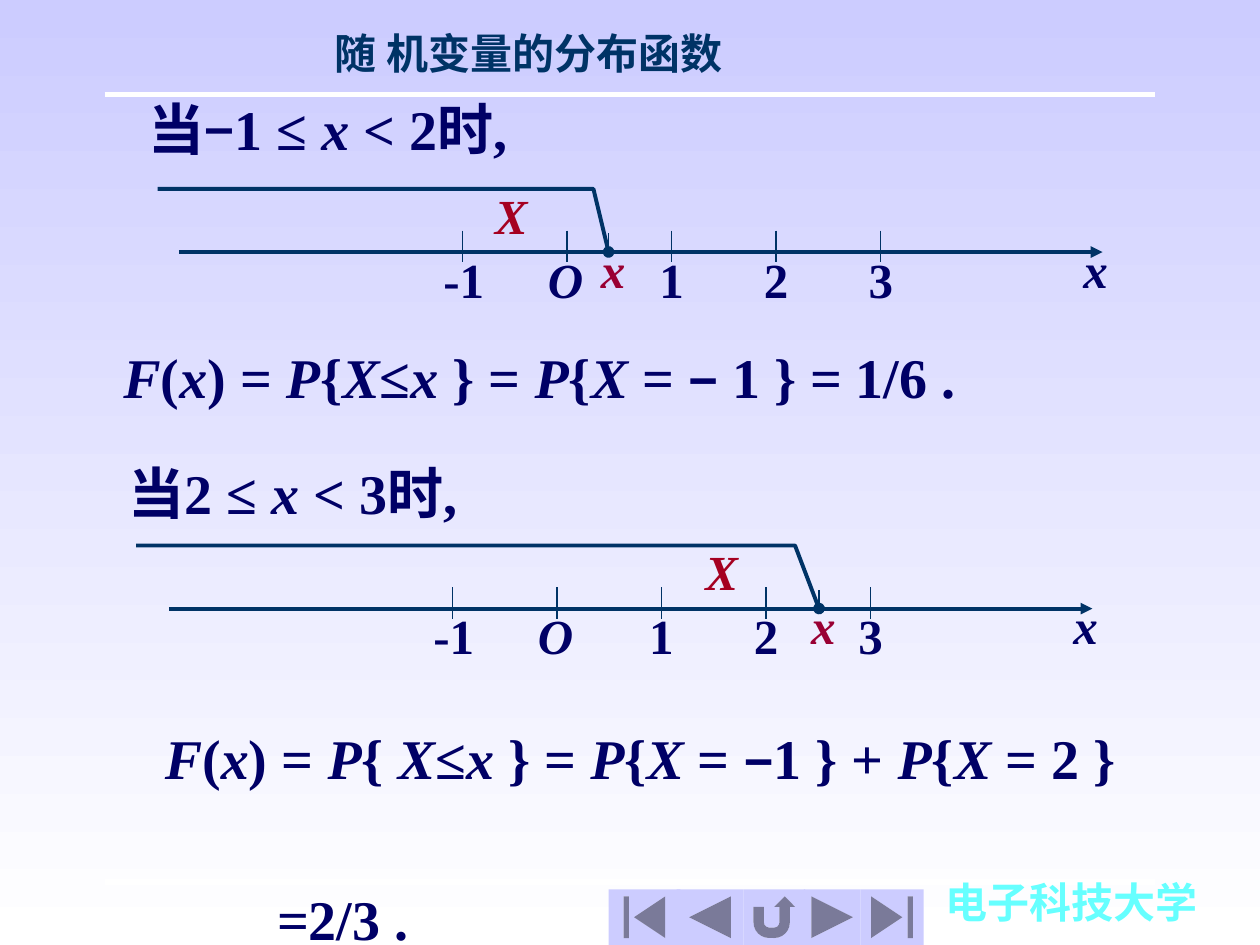
from dataclasses import dataclass
from itertools import groupby

from pptx import Presentation
from pptx.dml.color import RGBColor
from pptx.enum.shapes import MSO_CONNECTOR as Link, MSO_SHAPE as Kind
from pptx.enum.text import MSO_ANCHOR as Anchor, PP_ALIGN as Align
from pptx.oxml.ns import qn
from pptx.util import Inches, Pt

FACE = "Times New Roman"
INK, TEAL, RED, WINE = "000066", "003366", "A50021", "990033"
STEP = 0.83  # one unit on the number lines


def paint(code: str) -> RGBColor:
    return RGBColor.from_string(code)


@dataclass
class Axis:
    zero: float   # where the origin sits
    y: float
    start: float  # left end of the bracket
    bend: float
    point: float
    name: float   # left of the label X


@dataclass
class Button:
    kind: Kind
    left: float
    width: float


def write(para, text: str, size: float, color: str = INK) -> None:
    """Fill a paragraph; *stars* mark italics, minus signs are in Arial."""
    font = para.font
    font.size, font.name, font.bold = Pt(size), FACE, True
    font.color.rgb = paint(color)
    for i, part in enumerate(text.split("*")):
        for minus, chars in groupby(part, lambda c: c == "−"):
            run = para.add_run()
            run.text = "".join(chars)
            if i % 2:
                run.font.italic = True
            if minus:
                run.font.name, run.font.size = "Arial", Pt(29)


def label(slide, text: str, left: float, top: float, width: float,
          height: float = 0.57, size: float = 28, color: str = INK,
          align: Align = Align.LEFT):
    box = slide.shapes.add_textbox(*map(Inches, (left, top, width, height)))
    box.text_frame.word_wrap = True
    para = box.text_frame.paragraphs[0]
    para.alignment = align
    write(para, text, size, color)
    return box.text_frame


def finish(shape, color: str, width: float, end: str = "",
           tip: str = "") -> None:
    """Style an outline, optionally with one end mark."""
    shape.line.color.rgb = paint(color)
    shape.line.width = Pt(width)
    if end:
        ln = shape.line._get_or_add_ln()
        ln.append(ln.makeelement(qn(f"a:{end}"), {"type": tip}))


def rule(slide, x1: float, y1: float, x2: float, y2: float, color: str,
         width: float, tip: str = "") -> None:
    line = slide.shapes.add_connector(
        Link.STRAIGHT, *map(Inches, (x1, y1, x2, y2)))
    finish(line, color, width, "tailEnd" if tip else "", tip)
    props = line._element.spPr
    props.append(props.makeelement(qn("a:effectLst"), {}))


def draw(slide, axis: Axis) -> None:
    """A number line with its ticks, marked point and bracket."""
    zero, y, point = axis.zero, axis.y, axis.point
    rule(slide, zero - 3.08, y, zero + 4.25, y, TEAL, 2.25, "triangle")
    label(slide, "*x*", zero + 4, y - 0.15, 0.5)
    for n, text in enumerate(("-1", "*O*", "1", "2", "3"), -1):
        x = zero + n * STEP
        rule(slide, x, y - 0.17, x, y + 0.08, TEAL, 0.75)
        label(slide, text, x - 0.25, y - 0.07, 0.58 if n < 0 else 0.5,
              align=Align.CENTER if n > 0 else Align.LEFT)

    label(slide, "*x*", point - 0.16, y - 0.15, 0.5, color=WINE)
    rule(slide, point, y + 0.02, point, y - 0.15, TEAL, 0.75)
    path = slide.shapes.build_freeform(Inches(point), Inches(y))
    path.add_line_segments(
        [(Inches(x), Inches(y - 0.5)) for x in (axis.bend, axis.start)],
        close=False)
    shape = path.convert_to_shape()
    shape.fill.background()
    shape.shadow.inherit = False
    finish(shape, TEAL, 2.25, "headEnd", "oval")
    label(slide, "*X*", axis.name, y - 0.58, 0.58, color=RED)


def press(slide, button: Button) -> None:
    shape = slide.shapes.add_shape(button.kind, *map(
        Inches, (button.left, 7.06, button.width, 0.44)))
    shape.shadow.inherit = False
    shape.fill.solid()
    shape.fill.fore_color.rgb = paint("CCCCFF")
    shape.line.fill.background()


def main() -> None:
    deck = Presentation()
    deck.slide_width, deck.slide_height = Inches(10), Inches(7.5)
    slide = deck.slides.add_slide(deck.slide_layouts[5])

    # Background and frame
    back = slide.background.fill
    back.gradient()
    back.gradient_angle = 270
    for stop, code in zip(back.gradient_stops, ("CCCCFF", "FFFFFF")):
        stop.color.rgb = paint(code)
    for y in (7, 0.75):
        rule(slide, 0.83, y, 9.17, y, "FFFFFF", 3)

    # Title and school name
    title = slide.shapes.title
    title.left, title.top = Inches(2), Inches(0.17)
    title.width, title.height = Inches(4.39), Inches(0.5)
    title.text_frame.vertical_anchor = Anchor.TOP
    head = title.text_frame.paragraphs[0]
    head.alignment = Align.CENTER
    write(head, "随 机变量的分布函数", 24, TEAL)
    school = label(slide, "电子科技大学", 7.41, 7.02, 2.2, 0.38, 24, "66FFFF")
    school.word_wrap = False
    school.paragraphs[0].line_spacing = 0.7

    # First case
    label(slide, "当−1 ≤ *x* < 2时,", 1.08, 0.7, 4, 0.64, 32)
    label(slide, "*F*(*x*) =* P*{*X*≤*x *} = *P*{*X *= − 1 } = 1/6 .",
          0.88, 2.67, 8.42, 0.64, 32)
    draw(slide, Axis(4.5, 2, 1.25, 4.71, 4.83, 3.83))

    # Second case
    label(slide, "当2 ≤ *x* < 3时,", 0.92, 3.59, 7.83, 0.64, 32)
    frame = label(
        slide,
        "*F*(*x*) =* P*{ *X*≤*x *} = *P*{*X *= −1 } + *P*{*X *= 2 }",
        1.21, 5.64, 8.08, 1.93, 32)
    frame.paragraphs[0].line_spacing = 1.1
    last = frame.add_paragraph()
    last._p.get_or_add_pPr().set("marL", str(Inches(0.89)))
    last.line_spacing, last.space_before = 0.7, Pt(64)
    write(last, "=2/3 .", 32)
    draw(slide, Axis(4.42, 4.83, 1.08, 6.31, 6.5, 5.5))

    # Navigation buttons
    for button in (
        Button(Kind.ACTION_BUTTON_BEGINNING, 4.83, 0.57),
        Button(Kind.ACTION_BUTTON_BACK_OR_PREVIOUS, 5.37, 0.53),
        Button(Kind.ACTION_BUTTON_RETURN, 5.9, 0.49),
        Button(Kind.ACTION_BUTTON_FORWARD_OR_NEXT, 6.38, 0.45),
        Button(Kind.ACTION_BUTTON_END, 6.83, 0.5),
    ):
        press(slide, button)

    deck.save("out.pptx")


if __name__ == "__main__":
    main()
